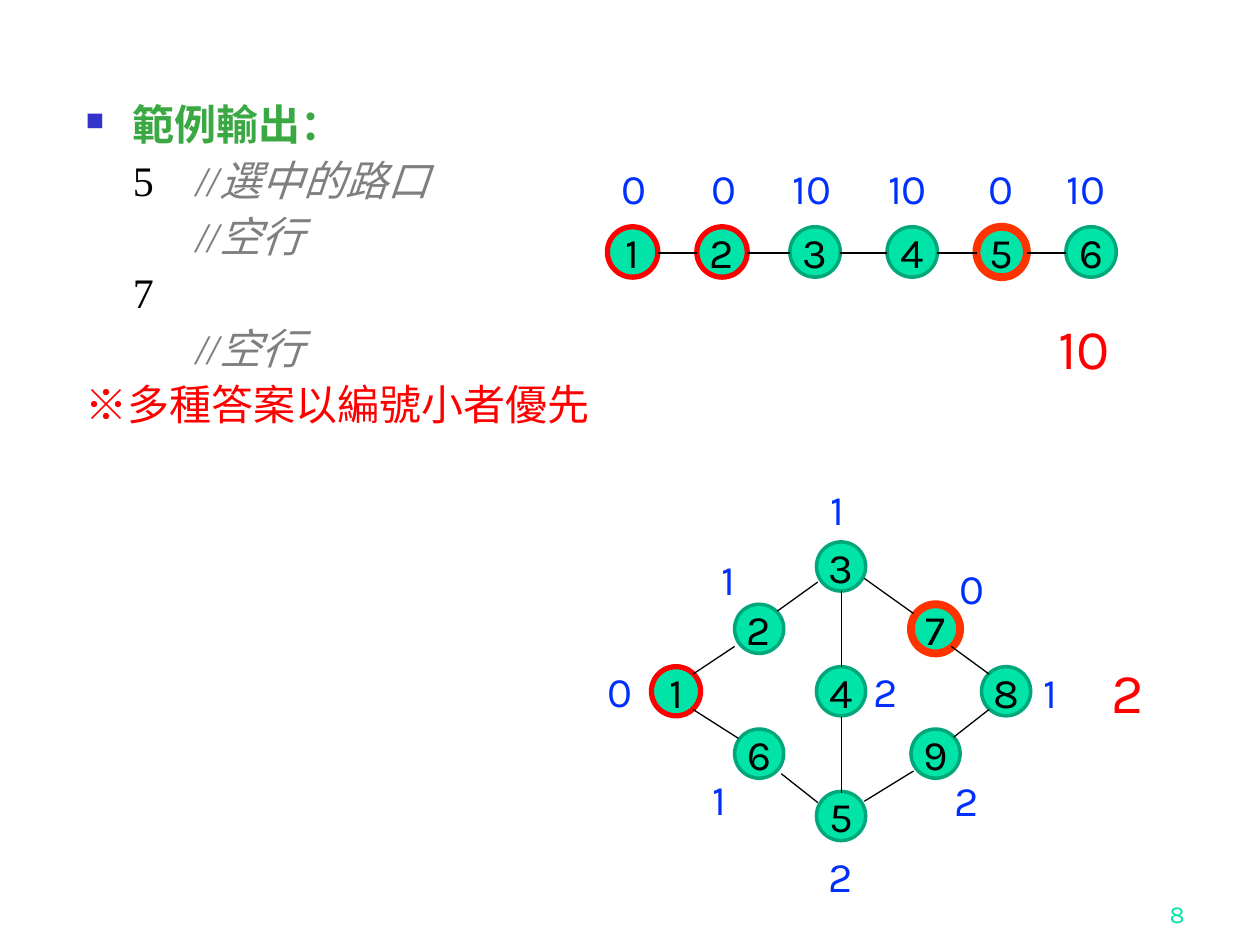
"""Build the sample-output slide with its chain graph and its diamond graph."""
from dataclasses import dataclass
from itertools import pairwise

from lxml.etree import SubElement
from pptx import Presentation
from pptx.dml.color import RGBColor
from pptx.enum.shapes import MSO_CONNECTOR as Connector, MSO_SHAPE as Shape
from pptx.enum.text import MSO_ANCHOR as Anchor, MSO_AUTO_SIZE as AutoSize, PP_ALIGN as Align
from pptx.oxml.ns import qn
from pptx.util import Pt

GREEN, DARK_GREEN, BLUE, RED, BLACK = "00E4A8", "00A77A", "0030FE", "FF0000", "000000"
HEADING, GRAY, BULLET = "3BA943", "7F7F7F", "3333CC"
PLAIN, VISITED, CHOSEN = (DARK_GREEN, 2), (RED, 3), ("FF3300", 4.5)


@dataclass(frozen=True)
class Node:
    name: str
    x: float
    y: float
    diameter: float
    outline: tuple[str, float] = PLAIN


@dataclass(frozen=True)
class Edge:
    x1: float
    y1: float
    x2: float
    y2: float


@dataclass(frozen=True)
class Label:
    text: str
    left: float
    top: float
    size: float = 24
    color: str = BLUE


@dataclass(frozen=True)
class Span:
    text: str
    color: str = BLACK
    bold: bool = False
    italic: bool = False


CHAIN_Y = 144
CHAIN = [
    Node(str(number), x, CHAIN_Y, 28.8, outline)
    for number, (x, outline) in enumerate([
        (361.5, VISITED), (412.6, VISITED), (465.8, PLAIN),
        (521.3, PLAIN), (572.4, CHOSEN), (623.5, PLAIN)], 1)
]
CHAIN_EDGES = [
    Edge(a.x + a.diameter / 2, CHAIN_Y + 0.6, b.x - b.diameter / 2, CHAIN_Y + 0.6)
    for a, b in pairwise(CHAIN)
]
CHAIN_LABELS = [
    Label(text, left, 89.2)
    for text, left in [("0", 347.8), ("0", 399.6), ("10", 445.7),
                       ("10", 500.4), ("0", 558), ("10", 602.6)]
]

DIAMOND_TOP, DIAMOND_STEP = 323.7, 35.65
DIAMOND = [
    Node(name, x, DIAMOND_TOP + DIAMOND_STEP * row, 28.1, outline)
    for name, x, row, outline in [
        ("1", 386.3, 2, VISITED), ("2", 433.8, 1, PLAIN), ("6", 433.8, 3, PLAIN),
        ("4", 480.6, 2, PLAIN), ("5", 480.6, 4, PLAIN), ("3", 480.6, 0, PLAIN),
        ("7", 534.6, 1, CHOSEN), ("9", 534.6, 3, PLAIN), ("8", 574.9, 2, PLAIN)]
]
DIAMOND_EDGES = [
    Edge(481, 409.7, 481, 452.9), Edge(444.2, 349.2, 467.3, 332.6),
    Edge(481, 337.7, 481, 380.9), Edge(396, 385.2, 419.8, 369.4),
    Edge(396, 405.4, 421.9, 421.9), Edge(446.4, 442.1, 467.3, 458.6),
    Edge(493.9, 330.5, 522, 350.6), Edge(543.6, 369.4, 565.2, 385.2),
    Edge(565.2, 405.4, 545, 421.2), Edge(522, 440.6, 493.9, 457.9),
]
DIAMOND_LABELS = [
    Label("0", 339.8, 376.6), Label("1", 405.4, 312.5), Label("1", 467.3, 272.9),
    Label("0", 541.4, 318.2), Label("1", 589, 377.3), Label("1", 400.3, 438.5),
    Label("2", 466.6, 482.4), Label("2", 538.6, 439.2), Label("2", 491.8, 376.6),
]
ANSWERS = [Label("2", 627.8, 372.2, 32, RED), Label("10", 597.6, 175.7, 32, RED)]

SAMPLE_LINES = [
    [Span("範例輸出：", HEADING, bold=True)],
    [Span("\t5\t"), Span("//選中的路口", GRAY, italic=True)],
    [Span("\t\t"), Span("//空行", GRAY, italic=True)],
    [Span("\t7")],
    [Span("\t\t"), Span("//空行", GRAY, italic=True)],
    [Span("※多種答案以編號小者優先", RED)],
]


def rgb(color: str) -> RGBColor:
    return RGBColor.from_string(color)


def write(frame, text: str, size: float, color: str, align=Align.LEFT) -> None:
    para = frame.paragraphs[0]
    para.text, para.alignment = text, align
    para.font.name, para.font.size = "Karla", Pt(size)
    para.font.color.rgb = rgb(color)


def draw_node(page, node: Node) -> None:
    corner = node.diameter / 2
    circle = page.shapes.add_shape(
        Shape.OVAL, Pt(node.x - corner), Pt(node.y - corner),
        Pt(node.diameter), Pt(node.diameter))
    circle.shadow.inherit = False
    circle.fill.solid()
    circle.fill.fore_color.rgb = rgb(GREEN)
    color, width = node.outline
    circle.line.color.rgb, circle.line.width = rgb(color), Pt(width)
    frame = circle.text_frame
    frame.word_wrap, frame.vertical_anchor = False, Anchor.MIDDLE
    write(frame, node.name, 24, BLACK, Align.CENTER)


def draw_edge(page, edge: Edge) -> None:
    line = page.shapes.add_connector(
        Connector.STRAIGHT, Pt(edge.x1), Pt(edge.y1), Pt(edge.x2), Pt(edge.y2))
    line.line.color.rgb, line.line.width = rgb(BLACK), Pt(0.75)
    SubElement(line._element.spPr, qn("a:effectLst"))


def draw_label(page, label: Label) -> None:
    width = 14.4 + 0.57 * label.size * len(label.text)
    box = page.shapes.add_textbox(
        Pt(label.left), Pt(label.top), Pt(width), Pt(label.size * 1.2 + 7.2))
    box.text_frame.word_wrap = False
    box.text_frame.auto_size = AutoSize.SHAPE_TO_FIT_TEXT
    write(box.text_frame, label.text, label.size, label.color)


def format_line(para, bulleted: bool) -> None:
    para.line_spacing = 0.9
    para.space_before = Pt(0 if bulleted else 6)
    properties = para._p.get_or_add_pPr()
    properties.set("marL", str(Pt(27)))
    properties.set("indent", str(Pt(-27)))
    if bulleted:
        color = SubElement(properties, qn("a:buClr"))
        SubElement(color, qn("a:srgbClr"), val=BULLET)
        SubElement(properties, qn("a:buSzPct"), val="60000")
        SubElement(properties, qn("a:buChar"), char="■")
    else:
        SubElement(properties, qn("a:buNone"))
        stops = SubElement(properties, qn("a:tabLst"))
        for position in (0, 72):
            SubElement(stops, qn("a:tab"), pos=str(Pt(position)), algn="l")
    para.font.name, para.font.size = "Times New Roman", Pt(24)


def draw_sample(page) -> None:
    frame = page.shapes.add_textbox(Pt(41.8), Pt(56.2), Pt(324), Pt(293)).text_frame
    frame.word_wrap = True
    for index, spans in enumerate(SAMPLE_LINES):
        para = frame.add_paragraph() if index else frame.paragraphs[0]
        format_line(para, bulleted=index == 0)
        for span in spans:
            run = para.add_run()
            run.text = span.text
            run.font.color.rgb = rgb(span.color)
            run.font.bold, run.font.italic = span.bold, span.italic


def draw_page_number(page) -> None:
    frame = page.shapes.add_textbox(Pt(534.2), Pt(498.2), Pt(149.8), Pt(36)).text_frame
    frame.word_wrap, frame.vertical_anchor = True, Anchor.BOTTOM
    write(frame, "8", 14, GREEN, Align.RIGHT)


def main() -> None:
    deck = Presentation()
    deck.slide_width, deck.slide_height = Pt(720), Pt(540)
    page = deck.slides.add_slide(deck.slide_layouts[6])
    draw_page_number(page)
    draw_sample(page)
    for node in DIAMOND + CHAIN:
        draw_node(page, node)
    for edge in DIAMOND_EDGES + CHAIN_EDGES:
        draw_edge(page, edge)
    for label in DIAMOND_LABELS + ANSWERS + CHAIN_LABELS:
        draw_label(page, label)
    deck.save("out.pptx")


if __name__ == "__main__":
    main()
